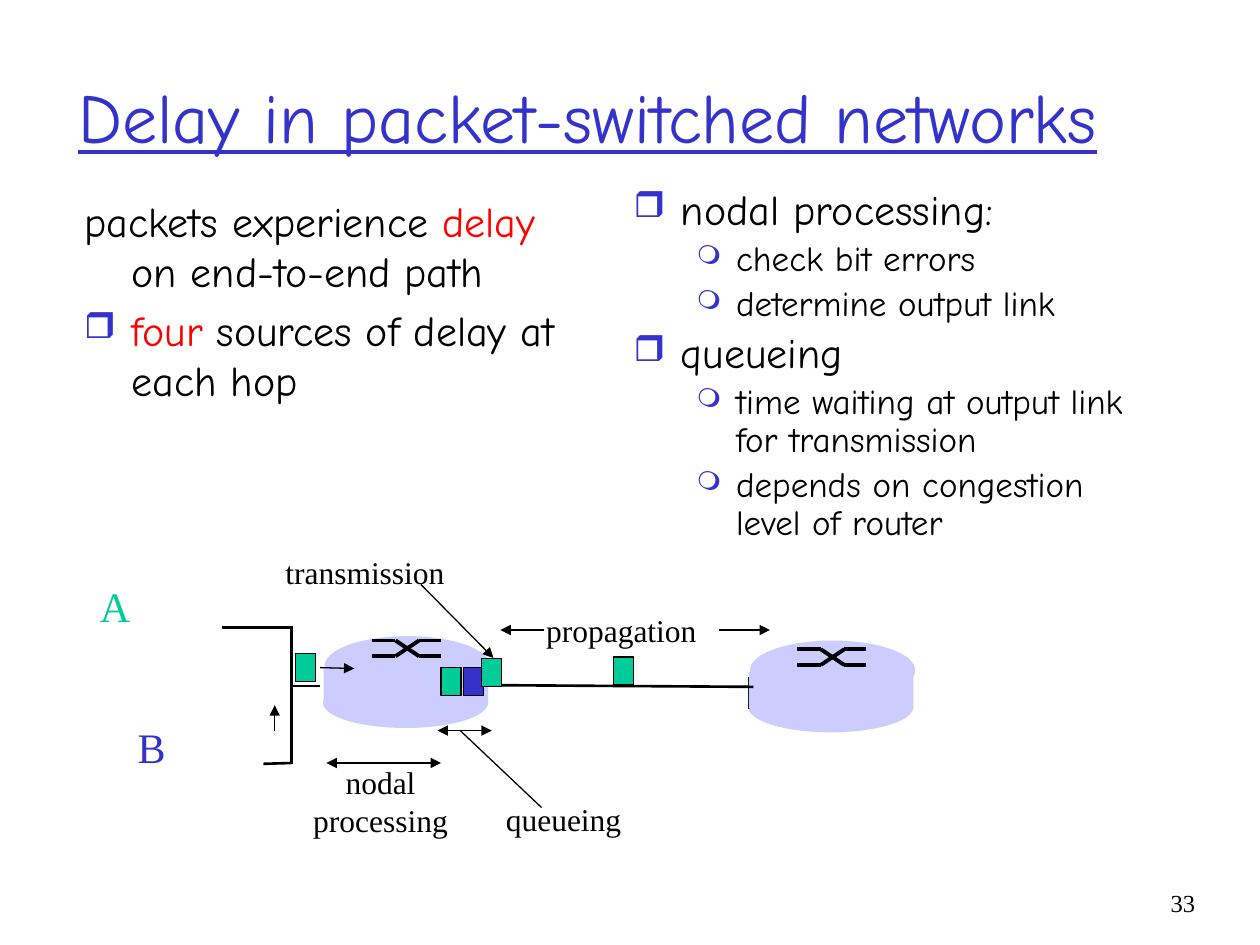
from lxml.etree import SubElement
from pptx import Presentation
from pptx.dml.color import RGBColor
from pptx.enum.shapes import MSO_CONNECTOR as Connector, MSO_SHAPE as Preset
from pptx.enum.text import MSO_ANCHOR as Anchor, MSO_AUTO_SIZE as AutoSize, PP_ALIGN as Align
from pptx.oxml.ns import qn
from pptx.util import Pt

COLORS = {"ink": "000000", "blue": "3333CC", "red": "FF0000", "green": "00CC99", "cloud": "CCCCFF"}
SANS, SERIF = "Comic Neue", "Times New Roman"
LEVELS = [
    {"size": 24, "margin": 27, "hang": 27, "bullet": "❒", "scale": 85},
    {"size": 20, "margin": 58.5, "hang": 22.5, "bullet": "❍", "scale": 75},
]
PACKET_SIZE = (11.5, 16)


def color(name):
    """Return the RGB value of a named colour."""
    return RGBColor.from_string(COLORS[name])


def apply_format(target, formats):
    """Set each attribute in formats on the target."""
    for name, value in formats.items():
        setattr(target, name, value)


def add_run(paragraph, text, font_name, size, color_name="ink"):
    """Add one formatted run to a paragraph and return it."""
    run = paragraph.add_run()
    run.text = text
    apply_format(run.font, {"name": font_name, "size": Pt(size)})
    run.font.color.rgb = color(color_name)
    return run


def add_text_box(slide, box):
    """Add a wrapping text box and return its text frame."""
    frame = slide.shapes.add_textbox(*map(Pt, box)).text_frame
    frame.word_wrap = True
    return frame


def add_label(slide, box, lines, size=18, color_name="ink", alignment=Align.LEFT):
    """Add a serif label with one paragraph for each line."""
    frame = add_text_box(slide, box)
    for index, line in enumerate(lines):
        paragraph = frame.add_paragraph() if index else frame.paragraphs[0]
        paragraph.alignment = alignment
        add_run(paragraph, line, SERIF, size, color_name)


def add_line(slide, start, end, width=0.75, heads=()):
    """Add a black line with arrowheads at the listed ends."""
    line = slide.shapes.add_connector(Connector.STRAIGHT, *map(Pt, (*start, *end)))
    line.line.color.rgb = color("ink")
    line.line.width = Pt(width)
    outline = line.line._get_or_add_ln()
    for head in heads:
        SubElement(outline, qn(f"a:{head}"), type="triangle")
    SubElement(line._element.spPr, qn("a:effectLst"))


def add_shape(slide, preset, box, fill, outlined=False):
    """Add a filled shape, with a thin black outline if wanted."""
    shape = slide.shapes.add_shape(preset, *map(Pt, box))
    shape.shadow.inherit = False
    shape.fill.solid()
    shape.fill.fore_color.rgb = color(fill)
    if outlined:
        shape.line.color.rgb = color("ink")
        shape.line.width = Pt(0.75)
    else:
        shape.line.fill.background()


def add_title(slide, box, text):
    """Place and format the title placeholder."""
    title = slide.shapes.title
    apply_format(title, dict(zip(("left", "top", "width", "height"), map(Pt, box))))
    frame = title.text_frame
    apply_format(frame, {"vertical_anchor": Anchor.MIDDLE, "word_wrap": True, "auto_size": AutoSize.NONE})
    paragraph = frame.paragraphs[0]
    paragraph.alignment = Align.LEFT
    add_run(paragraph, text, SANS, 40, "blue").font.underline = True


def add_outline(slide, box, items, line_spacing=1.0):
    """Fill a box with items of level, bulleted or not, and coloured runs."""
    frame = add_text_box(slide, box)
    for index, (level, bulleted, runs) in enumerate(items):
        style = LEVELS[level]
        paragraph = frame.add_paragraph() if index else frame.paragraphs[0]
        space = Pt(0.2 * style["size"]) if index else Pt(0)
        apply_format(paragraph, {"level": level, "line_spacing": line_spacing, "space_before": space})
        properties = paragraph._p.get_or_add_pPr()
        properties.set("marL", str(Pt(style["margin"])))
        properties.set("indent", str(-Pt(style["hang"])))
        if bulleted:
            bullet_color = SubElement(properties, qn("a:buClr"))
            SubElement(bullet_color, qn("a:srgbClr"), val=COLORS["blue"])
            SubElement(properties, qn("a:buSzPct"), val=str(style["scale"] * 1000))
            SubElement(properties, qn("a:buChar"), char=style["bullet"])
        else:
            SubElement(properties, qn("a:buNone"))
        for text, color_name in runs:
            add_run(paragraph, text, SANS, style["size"], color_name)


def add_switch_icon(slide, left, top):
    """Draw two crossing paths with level ends."""
    for first, last in ((0, 9), (9, 0)):
        points = [(0, first), (13.5, first), (27, last), (39.5, last)]
        points = [(left + x, top + y) for x, y in points]
        for start, end in zip(points, points[1:]):
            add_line(slide, start, end, 2.25)


def add_router(slide, left, top, icon_drop, edged=False):
    """Draw a router as a flat cylinder with a switch icon."""
    add_shape(slide, Preset.OVAL, (left, top + 23.5, 94.5, 29), "cloud")
    if edged:
        add_line(slide, (left + 0.5, top + 21), (left + 0.5, top + 39), 1)
    add_shape(slide, Preset.RECTANGLE, (left + 0.5, top + 18, 94, 21), "cloud")
    add_shape(slide, Preset.OVAL, (left + 1, top, 94.5, 34), "cloud")
    add_switch_icon(slide, left + 28, top + icon_drop)


def add_network(slide, left, top):
    """Draw the hosts, routers, links, packets and delay labels."""
    def at(x, y):
        return left + x, top + y

    add_router(slide, *at(134.5, 51.5), 2.5)
    add_router(slide, *at(377.5, 54), 5, edged=True)

    links = [
        ((77, 46.5), (116.5, 46.5)),
        ((100.5, 124.5), (116.5, 124)),
        ((116.5, 46), (116.5, 124.5)),
        ((117, 80), (133, 80)),
        ((228, 79.5), (380.5, 80.5)),
    ]
    for start, end in links:
        add_line(slide, at(*start), at(*end), 1.5)

    packets = [
        (300.5, 63.5, "green"), (202, 69.5, "green"), (215, 69.5, "blue"),
        (119, 61.5, "green"), (225, 64.5, "green"),
    ]
    for x, y, fill in packets:
        add_shape(slide, Preset.RECTANGLE, (*at(x, y), *PACKET_SIZE), fill, outlined=True)

    one_way, two_way = ("tailEnd",), ("headEnd", "tailEnd")
    arrows = [
        ((133, 69.5), (152.5, 70), one_way),
        ((107, 105.5), (107, 91), one_way),
        ((361, 48), (390, 48), one_way),
        ((261, 48), (236, 48), one_way),
        ((190.5, 22), (232, 64), one_way),
        ((202, 124), (136.5, 124), two_way),
        ((231, 105.5), (200, 105.5), two_way),
        ((259.5, 149.5), (213, 105.5), ()),
    ]
    for start, end, heads in arrows:
        add_line(slide, at(*start), at(*end), heads=heads)

    for x, y, host, color_name in [(0, 16, "A", "green"), (21.5, 97, "B", "blue")]:
        add_label(slide, (*at(x, y), 32, 36), [host], 24, color_name)
    for x, y, width, text in [
        (255, 33.5, 112, "propagation"), (106, 0.5, 120, "transmission"), (232, 141.5, 86, "queueing"),
    ]:
        add_label(slide, (*at(x, y), width, 29), [text])
    add_label(slide, (*at(116, 120.5), 103, 50), ["nodal", "processing"], alignment=Align.CENTER)


def main():
    """Build the slide and save it."""
    presentation = Presentation()
    apply_format(presentation, {"slide_width": Pt(720), "slide_height": Pt(540)})
    slide = presentation.slides.add_slide(presentation.slide_layouts[5])
    add_title(slide, (37.5, 21, 612, 90), "Delay in packet-switched networks")
    add_outline(slide, (41, 108, 300, 140), [
        (0, False, [("packets experience ", "ink"), ("delay ", "red"), ("on end-to-end path", "ink")]),
        (0, True, [("four", "red"), (" sources of delay at each hop", "ink")]),
    ])
    steps = [
        (0, "nodal processing:"), (1, "check bit errors"), (1, "determine output link"),
        (0, "queueing"), (1, "time waiting at output link for transmission"),
        (1, "depends on congestion level of router"),
    ]
    add_outline(slide, (355, 104.5, 300, 230), [(level, True, [(text, "ink")]) for level, text in steps], 0.9)
    add_network(slide, 50, 312)
    add_label(slide, (654, 504, 36, 36), ["33"], 14, alignment=Align.RIGHT)
    presentation.save("out.pptx")


if __name__ == "__main__":
    main()
